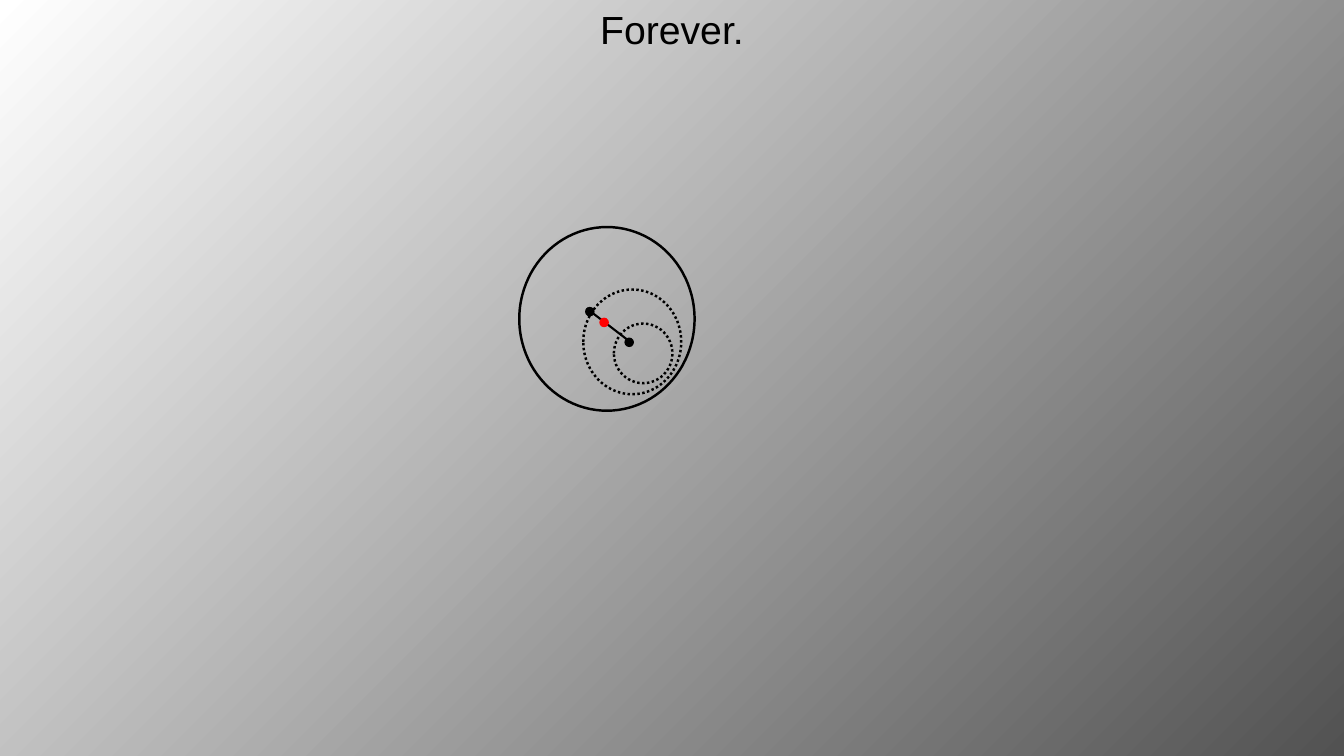
"""Build the 'Forever.' slide with nested circles and a marked segment."""
import pptx
import pptx.util
import pptx.dml.color
import pptx.enum.dml
import pptx.enum.shapes
import pptx.enum.text
from lxml import etree

Pt = pptx.util.Pt
RGB = pptx.dml.color.RGBColor
SHAPE = pptx.enum.shapes.MSO_SHAPE
BLACK = RGB(0x00, 0x00, 0x00)
RED = RGB(0xFF, 0x00, 0x00)
WHITE = RGB(0xFF, 0xFF, 0xFF)
GREY = RGB(0x52, 0x52, 0x52)
WIDTH, HEIGHT = 960, 540
DOT = 5.8


def set_background(s, start, end):
    """Fill the slide background with a diagonal gradient."""
    fill = s.background.fill
    fill.gradient()
    fill.gradient_angle = 315
    for stop, color, position in zip(fill.gradient_stops, (start, end), (0, 1)):
        stop.color.rgb = color
        stop.position = position


def write_text(tf, text, size=28, color=BLACK, font="Arial",
               align=pptx.enum.text.PP_ALIGN.CENTER):
    """Write one formatted paragraph into a text frame."""
    p = tf.paragraphs[0]
    p.alignment = align
    r = p.add_run()
    r.text = text
    r.font.size = Pt(size)
    r.font.name = font
    r.font.color.rgb = color


def add_title(s, text):
    """Place the title across the top of the slide."""
    sp = s.shapes.title
    sp.left, sp.top, sp.width, sp.height = Pt(0), Pt(0), Pt(WIDTH), Pt(41.2)
    tf = sp.text_frame
    tf.word_wrap = True
    tf.auto_size = pptx.enum.text.MSO_AUTO_SIZE.SHAPE_TO_FIT_TEXT
    tf.vertical_anchor = pptx.enum.text.MSO_ANCHOR.TOP
    write_text(tf, text)


def add_round(s, kind, x, y, w, h, weight, line=BLACK, fill=None, dash=None):
    """Add a round shape centred on x, y."""
    sp = s.shapes.add_shape(kind, Pt(x - w / 2), Pt(y - h / 2), Pt(w), Pt(h))
    sp.shadow.inherit = False
    if fill is None:
        sp.fill.background()
    else:
        sp.fill.solid()
        sp.fill.fore_color.rgb = fill
    sp.line.color.rgb = line
    sp.line.width = Pt(weight)
    if dash is not None:
        sp.line.dash_style = dash


def add_circle(s, x, y, w, h, dash=None):
    """Add an unfilled circle outline."""
    add_round(s, SHAPE.OVAL, x, y, w, h, 1.75, dash=dash)


def add_dot(s, x, y, color=BLACK):
    """Add a small filled point marker."""
    add_round(s, SHAPE.FLOWCHART_CONNECTOR, x, y, DOT, DOT, 1, color, color)


def add_segment(s, x1, y1, x2, y2):
    """Add a straight black line."""
    line = s.shapes.add_connector(pptx.enum.shapes.MSO_CONNECTOR.STRAIGHT,
                                  Pt(x1), Pt(y1), Pt(x2), Pt(y2))
    line.line.color.rgb = BLACK
    line.line.width = Pt(1.5)
    etree.SubElement(line._element.spPr, pptx.oxml.ns.qn("a:effectLst"))


def main():
    """Build and save the slide."""
    prs = pptx.Presentation()
    prs.slide_width, prs.slide_height = Pt(WIDTH), Pt(HEIGHT)
    s = prs.slides.add_slide(prs.slide_layouts[5])
    set_background(s, WHITE, GREY)
    add_title(s, "Forever.")
    dotted = pptx.enum.dml.MSO_LINE.ROUND_DOT
    add_circle(s, 459.4, 252.4, 41.8, 42.6, dotted)
    add_segment(s, 419, 220.3, 450, 244.1)
    add_dot(s, 449.4, 244.5)
    add_circle(s, 451.6, 244.2, 70, 74.8, dotted)
    add_dot(s, 421.3, 222.6)
    add_dot(s, 431.5, 230.3, RED)
    add_circle(s, 433.5, 227.8, 125.2, 131.2)
    prs.save("out.pptx")


if __name__ == "__main__":
    main()
